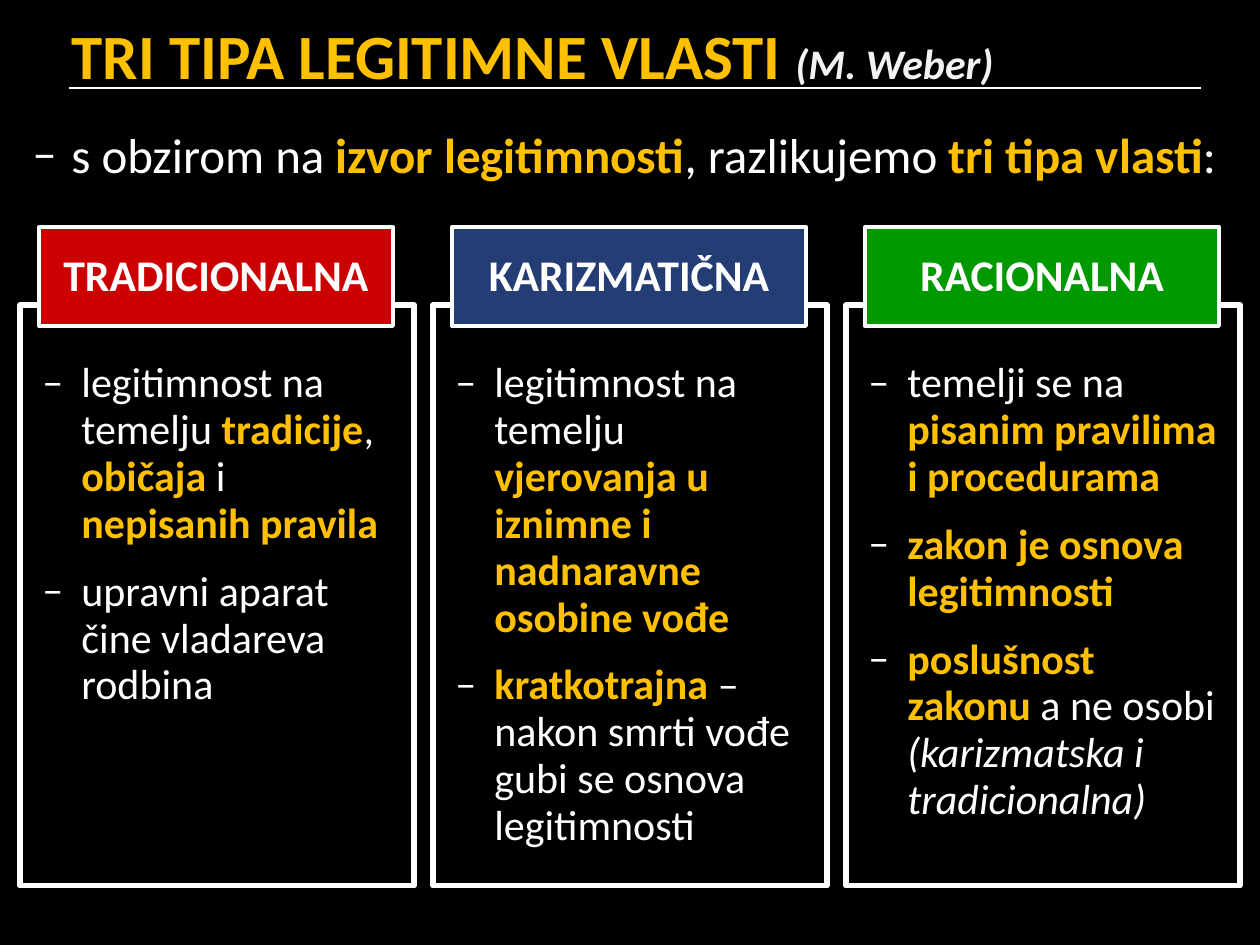
from lxml import etree
from pptx import Presentation, util as u
from pptx.dml.color import RGBColor
from pptx.enum import shapes, text
from pptx.oxml import ns

WHITE, GOLD, PALE, BLACK = "FFFFFF", "FFC000", "F2F2F2", "000000"
FONT = "Calibri"
PX = u.Inches(1) / 126

PLAIN = dict(color=WHITE)
KEY = dict(color=GOLD, bold=True)
ITALIC = dict(color=WHITE, italic=True)

TITLE = [
    ("TRI TIPA LEGITIMNE VLASTI ", dict(color=GOLD, bold=True, size=36)),
    ("(M. Weber)", dict(color=PALE, bold=True, italic=True, size=24)),
]
INTRO = [
    ("s obzirom na ", PLAIN), ("izvor legitimnosti", KEY),
    (", razlikujemo ", PLAIN), ("tri tipa vlasti", KEY), (":", PLAIN),
]
TYPES = [
    ("TRADICIONALNA", "CC0000", (368, 365), [
        [("legitimnost na temelju ", PLAIN), ("tradicije", KEY), (", ", PLAIN),
         ("običaja", KEY), (" i ", PLAIN), ("nepisanih pravila", KEY)],
        [("upravni aparat čine vladareva rodbina", PLAIN)],
    ]),
    ("KARIZMATIČNA", "253D75", (378, 508), [
        [("legitimnost na temelju ", PLAIN),
         ("vjerovanja u iznimne i nadnaravne osobine vođe", KEY)],
        [("kratkotrajna", KEY),
         (" – nakon smrti vođe gubi se osnova legitimnosti", PLAIN)],
    ]),
    ("RACIONALNA", "009900", (384, 481), [
        [("temelji se na ", PLAIN), ("pisanim pravilima i procedurama", KEY)],
        [("zakon je osnova legitimnosti", KEY)],
        [("poslušnost zakonu", KEY), (" a ne osobi ", PLAIN),
         ("(karizmatska i tradicionalna)", ITALIC)],
    ]),
]
COLUMN_LEFT, COLUMN_PITCH = 20, 413


def px(*lengths):
    return [u.Emu(round(n * PX)) for n in lengths]


def rgb(value):
    return RGBColor.from_string(value)


def add_runs(paragraph, runs, size=None):
    for words, style in runs:
        run = paragraph.add_run()
        run.text = words
        font = run.font
        font.name = FONT
        font.size = u.Pt(style.get("size", size))
        font.bold = style.get("bold", False)
        font.italic = style.get("italic", False)
        font.color.rgb = rgb(style["color"])


def add_dash(paragraph):
    props = paragraph._p.get_or_add_pPr()
    indent = u.Inches(0.31)
    props.set("marL", str(indent))
    props.set("indent", str(-indent))
    colour = etree.SubElement(props, ns.qn("a:buClr"))
    etree.SubElement(colour, ns.qn("a:srgbClr"), val=WHITE)
    etree.SubElement(props, ns.qn("a:buFont"), typeface=FONT)
    etree.SubElement(props, ns.qn("a:buChar"), char="–")


def add_list(slide, box, items, size, spacing):
    frame = slide.shapes.add_textbox(*px(*box)).text_frame
    frame.word_wrap = True
    frame.auto_size = text.MSO_AUTO_SIZE.SHAPE_TO_FIT_TEXT
    for i, runs in enumerate(items):
        paragraph = frame.add_paragraph() if i else frame.paragraphs[0]
        paragraph.line_spacing = spacing
        paragraph.space_before = u.Pt(12)
        add_dash(paragraph)
        add_runs(paragraph, runs, size)


def add_box(slide, box, line_width, fill=None):
    shape = slide.shapes.add_shape(shapes.MSO_SHAPE.RECTANGLE, *px(*box))
    shape.shadow.inherit = False
    shape.line.color.rgb = rgb(WHITE)
    shape.line.width = u.Pt(line_width)
    if fill:
        shape.fill.solid()
        shape.fill.fore_color.rgb = rgb(fill)
    else:
        shape.fill.background()
    return shape


def add_title(slide):
    title = slide.shapes.title
    title.left, title.top, title.width, title.height = px(59, 10, 1201, 79)
    frame = title.text_frame
    frame.word_wrap = True
    frame.auto_size = text.MSO_AUTO_SIZE.NONE
    frame.vertical_anchor = text.MSO_ANCHOR.TOP
    frame.paragraphs[0].alignment = text.PP_ALIGN.LEFT
    add_runs(frame.paragraphs[0], TITLE)

    rule = slide.shapes.add_connector(
        shapes.MSO_CONNECTOR.STRAIGHT, *px(69, 88, 1201, 88))
    rule.line.color.rgb = rgb(WHITE)
    rule.line.width = u.Pt(1)
    etree.SubElement(rule._element.spPr, ns.qn("a:effectLst"))


def add_type(slide, left, name, colour, list_size, items):
    add_box(slide, (left, 305, 394, 581), 3)
    banner = add_box(slide, (left + 19, 227, 354, 99), 2.25, colour)
    frame = banner.text_frame
    frame.word_wrap = True
    frame.vertical_anchor = text.MSO_ANCHOR.MIDDLE
    heading = frame.paragraphs[0]
    heading.alignment = text.PP_ALIGN.CENTER
    heading.line_spacing = 0.93
    add_runs(heading, [(name, dict(color=WHITE, bold=True))], 25)
    add_list(slide, (left + 10, 354, *list_size), items, 24, 0.93)


def main():
    deck = Presentation()
    deck.slide_width, deck.slide_height = px(1260, 945)
    slide = deck.slides.add_slide(deck.slide_layouts[5])
    slide.background.fill.solid()
    slide.background.fill.fore_color.rgb = rgb(BLACK)
    add_title(slide)
    for i, kind in enumerate(TYPES):
        add_type(slide, COLUMN_LEFT + i * COLUMN_PITCH, *kind)
    add_list(slide, (20, 118, 1231, 72), [INTRO], 28, 1.0)
    deck.save("out.pptx")


if __name__ == "__main__":
    main()
